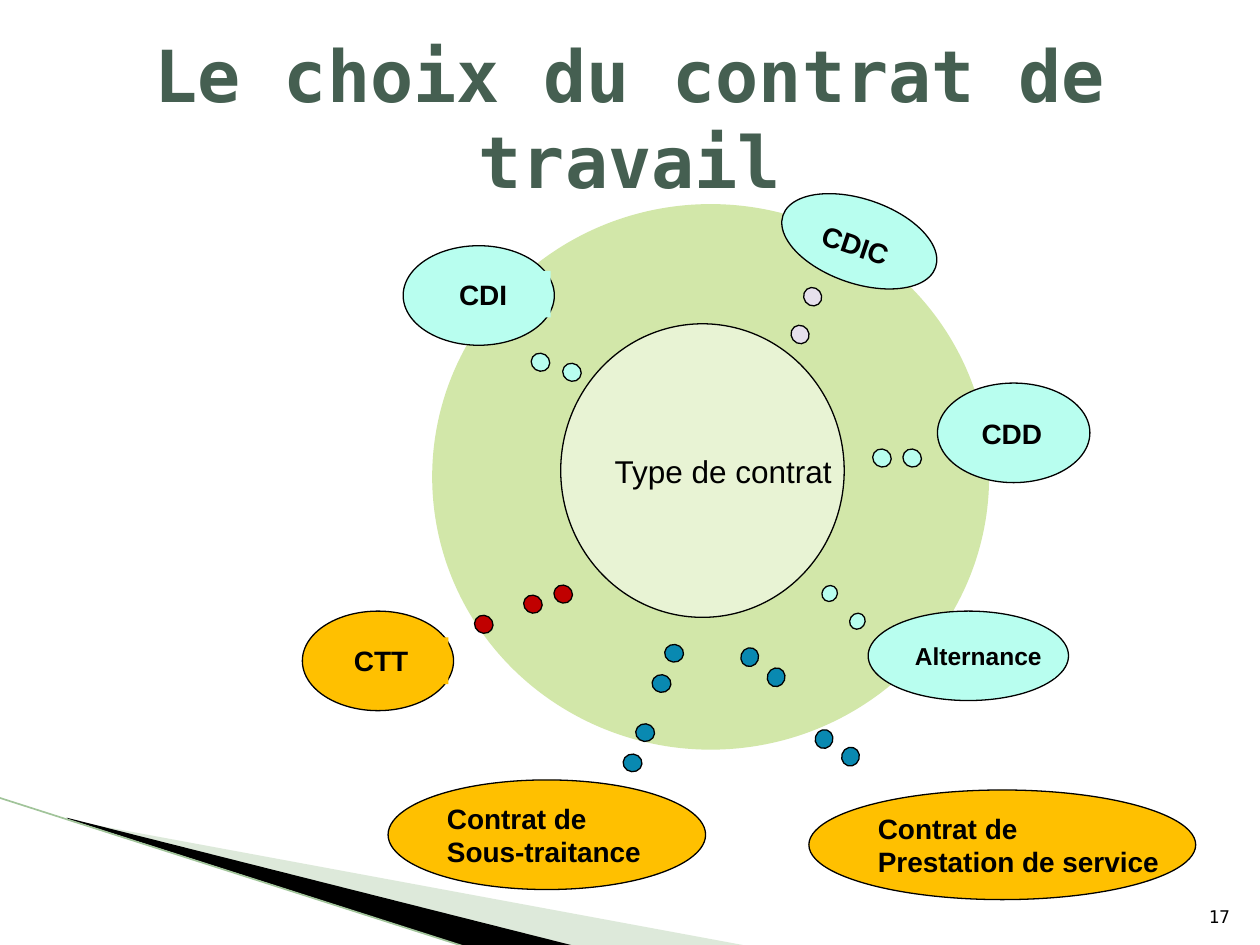
"""Builds the slide on choosing an employment contract."""
from pptx import Presentation
from pptx.dml.color import RGBColor
from pptx.enum.shapes import MSO_CONNECTOR as Connector, MSO_SHAPE as Shape
from pptx.enum.text import MSO_ANCHOR as Anchor, PP_ALIGN as Align
from pptx.oxml.ns import qn
from pptx.util import Inches, Pt
from lxml.etree import SubElement

COLORS = {
    "title": "455F51", "ring": "D2E7A9", "hub": "E8F3D4", "mint": "B8FEEF",
    "amber": "FFC000", "red": "C00000", "blue": "0989B1", "lilac": "E6E0EC",
    "black": "000000", "sage": "AACAA3", "leaf": "A1C49A",
}
SANS, MONO = "Arial", "DejaVu Sans Mono"

LABELLED_OVALS = [
    ("CDIC", "mint", (6.18, 1.58, 1.28, 0.67), (6.37, 1.76, 0.84, 0.37), 16, True, 18.8),
    ("CDI", "mint", (3.2, 1.95, 1.2, 0.79), (3.3, 2.15, 1.07, 0.37), 16, True, 0),
    ("CDD", "mint", (7.44, 3.04, 1.21, 0.79), (7.69, 3.26, 0.68, 0.37), 16, False, 0),
    ("CTT", "amber", (2.4, 4.85, 1.2, 0.79), (2.49, 5.06, 1.07, 0.37), 16, True, 0),
    ("Alternance", "mint", (6.89, 4.85, 1.59, 0.71), (7.16, 5.04, 1.21, 0.34), 14, False, 0),
]
EXTERNAL_CONTRACTS = [
    ("Contrat de\nSous-traitance", (3.08, 6.19, 2.52, 0.87)),
    ("Contrat de\nPrestation de service", (6.42, 6.27, 3.07, 0.87)),
]
DOT, SMALL_DOT = (0.14, 0.15), (0.13, 0.12)
DOT_TRAILS = [
    ("red", 303.8, DOT, [(4.16, 4.72), (4.4, 4.64), (3.77, 4.88)]),
    ("blue", 96, DOT, [(5.28, 5.11), (5.18, 5.35), (5.05, 5.74), (4.95, 5.98)]),
    ("blue", 199.8, DOT, [(6.09, 5.3), (5.88, 5.14)]),
    ("blue", 197.8, DOT, [(6.68, 5.93), (6.47, 5.79)]),
    ("mint", 303.8, DOT, [(4.22, 2.8), (4.47, 2.88), (7.17, 3.56), (6.93, 3.56)]),
    ("lilac", 322.5, DOT, [(6.38, 2.28), (6.28, 2.58)]),
    ("mint", 303.8, SMALL_DOT, [(6.74, 4.87), (6.52, 4.65)]),
]


def color(name):
    return RGBColor.from_string(COLORS[name])


def write(frame, text, size, font=SANS, ink="black", bold=False,
          align=Align.LEFT, anchor=Anchor.MIDDLE, wrap=True):
    frame.word_wrap = wrap
    frame.vertical_anchor = anchor
    for index, line in enumerate(text.split("\n")):
        paragraph = frame.add_paragraph() if index else frame.paragraphs[0]
        paragraph.alignment = align
        run = paragraph.add_run()
        run.text = line
        run.font.name, run.font.size, run.font.bold = font, Pt(size), bold
        run.font.color.rgb = color(ink)


class SlideBuilder:
    def __init__(self, slide):
        self.slide = slide
        self.outline = Pt(0.75)

    def paint(self, shape, fill, outlined=False):
        shape.shadow.inherit = False
        shape.fill.solid()
        shape.fill.fore_color.rgb = color(fill)
        if outlined:
            shape.line.color.rgb = color("black")
            shape.line.width = self.outline
        else:
            shape.line.fill.background()

    def shape(self, kind, box, fill, outlined=True, rotation=0, parent=None):
        shapes = (parent or self.slide).shapes
        shape = shapes.add_shape(kind, *map(Inches, box))
        shape.rotation = rotation
        self.paint(shape, fill, outlined)
        return shape

    def wedge(self, points, fill, opacity=None):
        start, *others = [tuple(map(Inches, point)) for point in points]
        builder = self.slide.shapes.build_freeform(*start)
        builder.add_line_segments(others)
        shape = builder.convert_to_shape()
        self.paint(shape, fill)
        if opacity:
            tint = shape.fill._xPr.find(qn("a:solidFill"))[0]
            SubElement(tint, qn("a:alpha")).set("val", str(opacity * 1000))

    def line(self, start, end, ink, width):
        connector = self.slide.shapes.add_connector(
            Connector.STRAIGHT, *map(Inches, start + end))
        connector.line.color.rgb = color(ink)
        connector.line.width = Pt(width)
        SubElement(connector._element.spPr, qn("a:effectLst"))

    def title(self, text, box):
        title = self.slide.shapes.title
        title.left, title.top, title.width, title.height = map(Inches, box)
        write(title.text_frame, text, 41, MONO, "title", True, Align.CENTER)

    def labelled_oval(self, text, fill, oval, label, size, wrap, rotation):
        group = self.slide.shapes.add_group_shape()
        self.shape(Shape.OVAL, oval, fill, rotation=rotation, parent=group)
        plate = self.shape(Shape.RECTANGLE, label, fill, False, rotation, group)
        write(plate.text_frame, text, size, bold=True, align=Align.CENTER,
              anchor=Anchor.TOP, wrap=wrap)

    def text_oval(self, text, box, fill, size, bold=False):
        oval = self.shape(Shape.OVAL, box, fill)
        write(oval.text_frame, text, size, bold=bold, wrap=False)

    def page_number(self, text, box):
        frame = self.slide.shapes.add_textbox(*map(Inches, box)).text_frame
        write(frame, text, 10, MONO, align=Align.RIGHT, anchor=Anchor.BOTTOM)


def main():
    presentation = Presentation()
    presentation.slide_width, presentation.slide_height = Inches(10), Inches(7.5)
    builder = SlideBuilder(presentation.slides.add_slide(presentation.slide_layouts[5]))

    builder.wedge([(0.55, 6.51), (5.95, 7.51), (4.56, 7.51), (0.55, 6.5)], "sage", 40)
    builder.wedge([(0.53, 6.49), (4.57, 7.51), (3.72, 7.52), (0.54, 6.5)], "black")
    builder.line((-0.01, 6.33), (3.71, 7.52), "leaf", 0.95)
    builder.title("Le choix du contrat de travail", (0.5, 0.3, 9, 1.25))

    builder.shape(Shape.OVAL, (3.43, 1.62, 4.42, 4.33), "ring", outlined=False)
    builder.text_oval("Type de contrat", (4.45, 2.57, 2.25, 2.33), "hub", 18)
    for contract in LABELLED_OVALS:
        builder.labelled_oval(*contract)
    for text, box in EXTERNAL_CONTRACTS:
        builder.text_oval(text, box, "amber", 16, bold=True)
    for fill, rotation, size, positions in DOT_TRAILS:
        for position in positions:
            builder.shape(Shape.OVAL, position + size, fill, rotation=rotation)

    builder.page_number("17", (9.46, 7.01, 0.4, 0.4))
    presentation.save("out.pptx")


if __name__ == "__main__":
    main()
